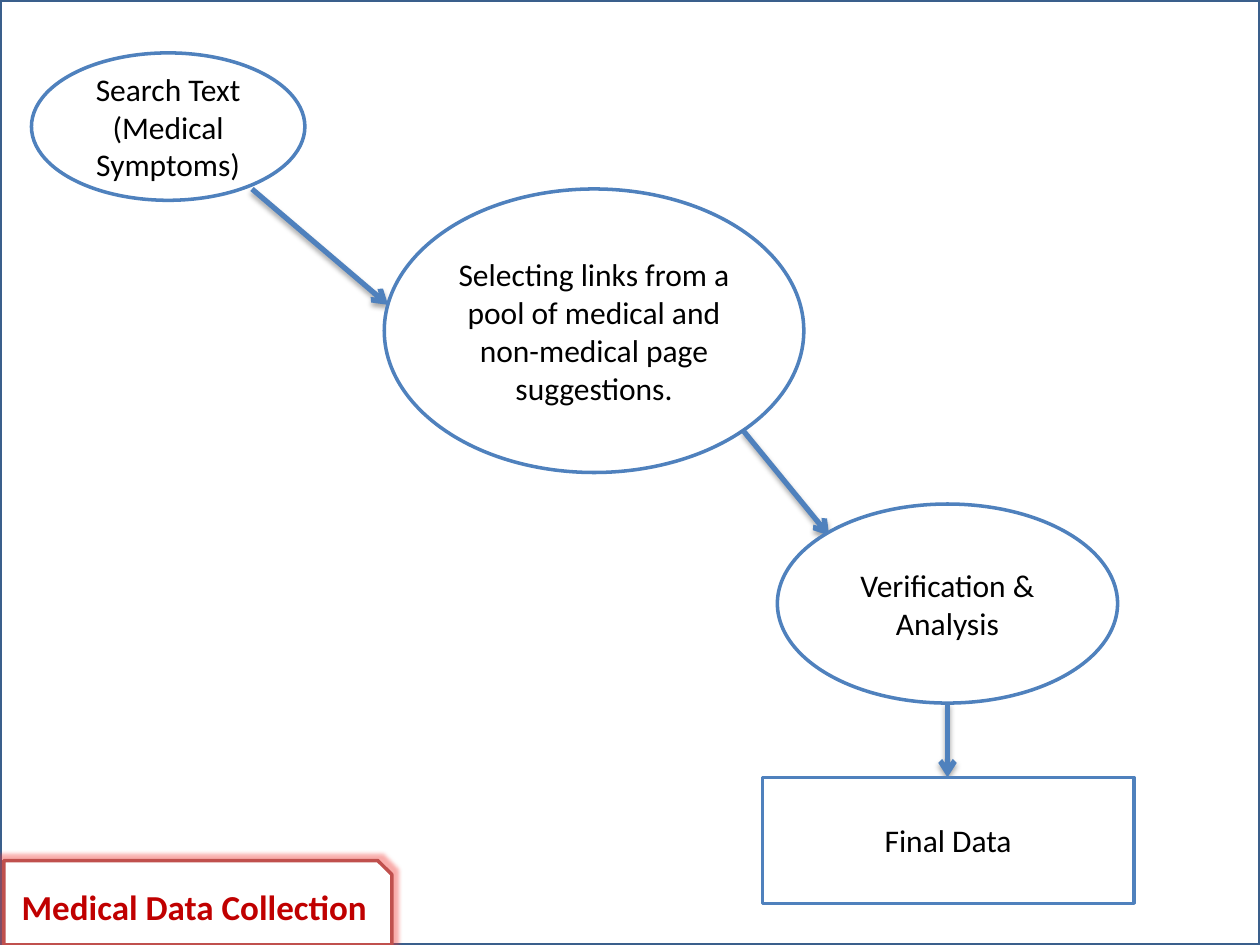
"""Build the medical data collection flow slide."""
from dataclasses import dataclass

from lxml import etree
from pptx import Presentation
from pptx.dml.color import RGBColor
from pptx.enum.shapes import MSO_CONNECTOR, MSO_SHAPE
from pptx.enum.text import MSO_ANCHOR, PP_ALIGN
from pptx.oxml.ns import qn
from pptx.util import Inches, Pt

ELLIPSE = MSO_SHAPE.OVAL
RECTANGLE = MSO_SHAPE.RECTANGLE
SNIPPED = MSO_SHAPE.SNIP_1_RECTANGLE
STRAIGHT = MSO_CONNECTOR.STRAIGHT
CENTER = PP_ALIGN.CENTER
MIDDLE = MSO_ANCHOR.MIDDLE

BLUE = RGBColor(0x4F, 0x81, 0xBD)
DARK_BLUE = RGBColor(0x3A, 0x5F, 0x8C)
RED = RGBColor(0xC0, 0x50, 0x4D)
DARK_RED = RGBColor(0xC0, 0x00, 0x00)
GLOW_RED = RGBColor(0xF0, 0x30, 0x2B)
WHITE = RGBColor(0xFF, 0xFF, 0xFF)
BLACK = RGBColor(0x00, 0x00, 0x00)


@dataclass(frozen=True)
class Box:
    kind: int
    left: float
    top: float
    width: float
    height: float
    text: str = ""


@dataclass(frozen=True)
class Arrow:
    start: tuple[float, float]
    end: tuple[float, float]


STEPS = [
    Box(ELLIPSE, 0.25, 0.42, 2.17, 1.17, "Search Text (Medical Symptoms)"),
    Box(ELLIPSE, 3.05, 1.5, 3.33, 2.25,
        "Selecting links from a pool of medical and non-medical page suggestions."),
    Box(ELLIPSE, 6.17, 4, 2.7, 1.58, "Verification & Analysis"),
    Box(RECTANGLE, 6.05, 6.17, 2.95, 1, "Final Data"),
]
ARROWS = [
    Arrow((2, 1.5), (3.08, 2.42)),
    Arrow((5.9, 3.42), (6.58, 4.25)),
    Arrow((7.52, 5.58), (7.52, 6.17)),
]
FRAME = Box(RECTANGLE, 0, 0, 10, 7.5)
TITLE = Box(SNIPPED, 0.03, 6.83, 3.08, 0.67, "Medical Data Collection")


def write_text(shape, text: str, *, size: float = 18,
               color: RGBColor = BLACK, bold: bool = False) -> None:
    frame = shape.text_frame
    frame.word_wrap = True
    frame.vertical_anchor = MIDDLE
    paragraph = frame.paragraphs[0]
    paragraph.alignment = CENTER
    run = paragraph.add_run()
    run.text = text
    run.font.name = "Calibri"
    run.font.size = Pt(size)
    run.font.bold = bold
    run.font.color.rgb = color


def add_box(slide, box: Box, line_color: RGBColor, filled: bool = True):
    shape = slide.shapes.add_shape(
        box.kind, Inches(box.left), Inches(box.top), Inches(box.width), Inches(box.height))
    shape.shadow.inherit = False
    if filled:
        shape.fill.solid()
        shape.fill.fore_color.rgb = WHITE
    else:
        shape.fill.background()
    shape.line.color.rgb = line_color
    shape.line.width = Pt(2)
    return shape


def add_effect(shape, name: str, color: RGBColor, opacity: int, **attributes: str) -> None:
    properties = shape.element.spPr
    effects = properties.find(qn("a:effectLst"))
    if effects is None:
        effects = etree.SubElement(properties, qn("a:effectLst"))
    effect = etree.SubElement(effects, qn(name), attributes)
    tint = etree.SubElement(effect, qn("a:srgbClr"), val=str(color))
    etree.SubElement(tint, qn("a:alpha"), val=str(opacity * 1000))


def add_arrow(slide, arrow: Arrow) -> None:
    points = [Inches(value) for value in (*arrow.start, *arrow.end)]
    connector = slide.shapes.add_connector(STRAIGHT, *points)
    connector.line.color.rgb = BLUE
    connector.line.width = Pt(3)
    line = connector.element.spPr.find(qn("a:ln"))
    etree.SubElement(line, qn("a:tailEnd"), type="arrow")
    add_effect(connector, "a:outerShdw", BLACK, 35, blurRad=str(Pt(3.1)),
               dist=str(Pt(1.8)), dir="5400000", rotWithShape="0")


def build() -> None:
    presentation = Presentation()
    presentation.slide_width = Inches(10)
    presentation.slide_height = Inches(7.5)
    slide = presentation.slides.add_slide(presentation.slide_layouts[6])
    for index, step in enumerate(STEPS):
        write_text(add_box(slide, step, BLUE), step.text)
        if index < len(ARROWS):
            add_arrow(slide, ARROWS[index])
    add_box(slide, FRAME, DARK_BLUE, filled=False)
    title = add_box(slide, TITLE, RED)
    add_effect(title, "a:glow", GLOW_RED, 40, rad=str(Pt(5)))
    write_text(title, TITLE.text, size=20, color=DARK_RED, bold=True)
    presentation.save("out.pptx")


build()
